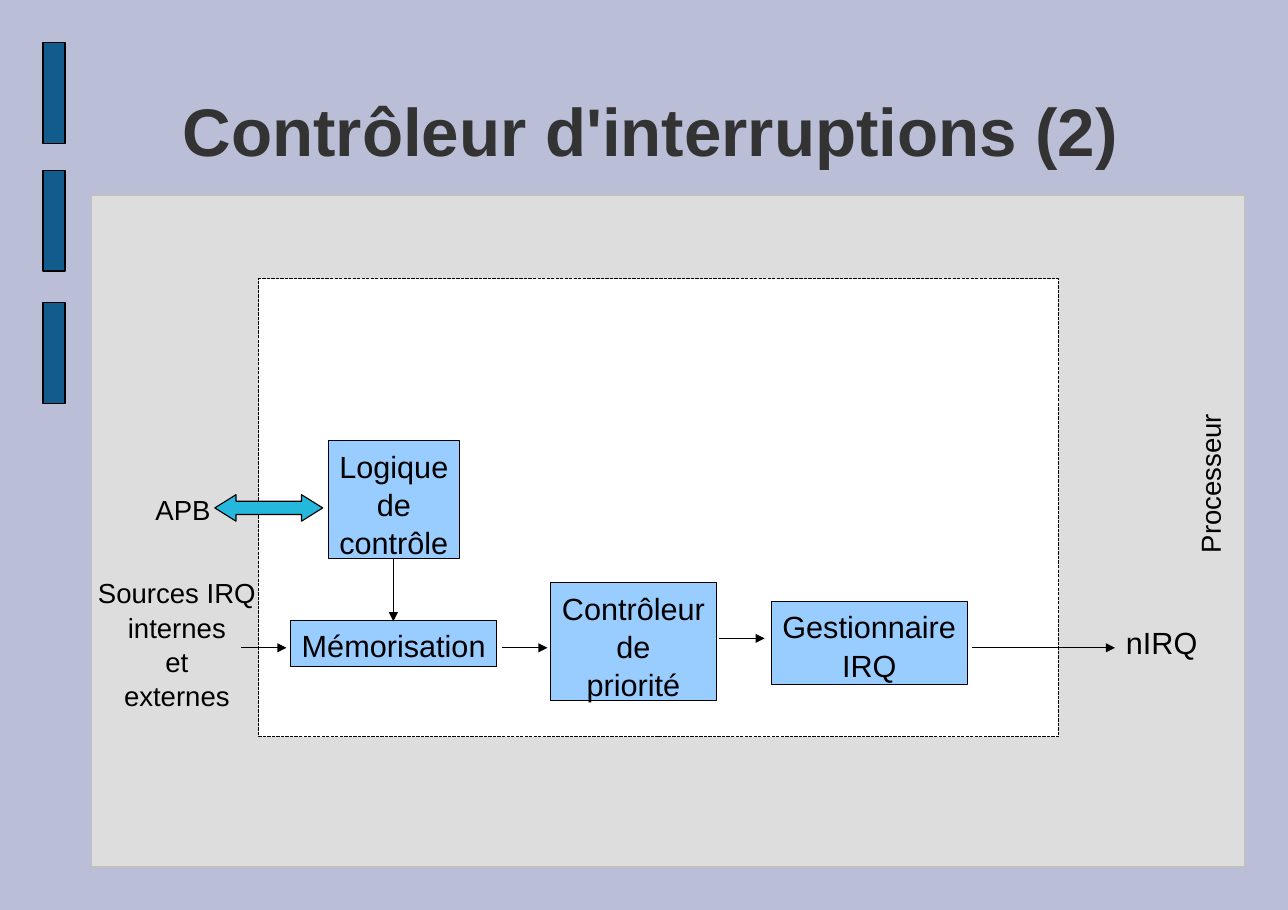
import dataclasses

import pptx
import pptx.dml.color
import pptx.enum.dml
import pptx.enum.shapes
import pptx.enum.text
import pptx.oxml.ns
import pptx.util
from lxml import etree

SHAPES = pptx.enum.shapes.MSO_SHAPE
ALIGN = pptx.enum.text.PP_ALIGN
ANCHOR = pptx.enum.text.MSO_ANCHOR


@dataclasses.dataclass(frozen=True)
class Theme:
    font: str = "Arial"
    background: str = "BABED6"
    panel: str = "DDDDDD"
    panel_edge: str = "C0C0C0"
    bar: str = "125C8D"
    frame: str = "FFFFFF"
    block: str = "99CCFF"
    bus: str = "23B8DC"
    ink: str = "000000"
    heading: str = "333333"
    title_size: int = 44
    block_size: int = 20
    label_size: int = 18
    line_width: float = 0.75
    line_spacing: float = 1.04


def color(code):
    return pptx.dml.color.RGBColor.from_string(code)


class Diagram:
    """Draws on one slide; every place is a percentage of the slide's size."""

    def __init__(self, deck, theme):
        self.deck = deck
        self.theme = theme
        self.page = deck.slides.add_slide(deck.slide_layouts[5])
        fill = self.page.background.fill
        fill.solid()
        fill.fore_color.rgb = color(theme.background)

    def across(self, share):
        return round(self.deck.slide_width * share / 100)

    def down(self, share):
        return round(self.deck.slide_height * share / 100)

    def place(self, left, top, width, height):
        return (self.across(left), self.down(top),
                self.across(width), self.down(height))

    def set_text(self, box, text, size, ink, align=ALIGN.CENTER, bold=False, spacing=None):
        frame = box.text_frame
        frame.text = text
        for para in frame.paragraphs:
            para.alignment = align
            para.line_spacing = spacing
            for span in para.runs:
                span.font.name = self.theme.font
                span.font.size = pptx.util.Pt(size)
                span.font.bold = bold
                span.font.color.rgb = color(ink)

    def title(self, text, area):
        box = self.page.shapes.title
        box.left, box.top, box.width, box.height = self.place(*area)
        frame = box.text_frame
        frame.margin_left = frame.margin_right = 0
        frame.margin_top = frame.margin_bottom = 0
        frame.vertical_anchor = ANCHOR.MIDDLE
        self.set_text(box, text, self.theme.title_size, self.theme.heading, bold=True)

    def shape(self, area, fill, kind=SHAPES.RECTANGLE, edge=None, width=None):
        box = self.page.shapes.add_shape(kind, *self.place(*area))
        box.shadow.inherit = False
        box.fill.solid()
        box.fill.fore_color.rgb = color(fill)
        box.line.color.rgb = color(edge or self.theme.ink)
        box.line.width = pptx.util.Pt(self.theme.line_width if width is None else width)
        return box

    def caption(self, box, text, size, align):
        frame = box.text_frame
        frame.word_wrap = False
        frame.auto_size = pptx.enum.text.MSO_AUTO_SIZE.NONE
        frame.vertical_anchor = ANCHOR.TOP
        self.set_text(box, text, size, self.theme.ink, align,
                      spacing=self.theme.line_spacing)

    def block(self, text, area, align=ALIGN.CENTER):
        box = self.shape(area, self.theme.block)
        self.caption(box, text, self.theme.block_size, align)

    def label(self, text, area, size, align=ALIGN.CENTER, rotation=0):
        box = self.page.shapes.add_textbox(*self.place(*area))
        box.rotation = rotation
        self.caption(box, text, size, align)

    def arrow(self, left, top, right, bottom):
        line = self.page.shapes.add_connector(
            pptx.enum.shapes.MSO_CONNECTOR.STRAIGHT,
            self.across(left), self.down(top), self.across(right), self.down(bottom))
        line.line.color.rgb = color(self.theme.ink)
        line.line.width = pptx.util.Pt(self.theme.line_width)
        tag = pptx.oxml.ns.qn
        properties = line.element.spPr
        head = etree.SubElement(properties.find(tag("a:ln")), tag("a:tailEnd"))
        head.set("type", "triangle")
        etree.SubElement(properties, tag("a:effectLst"))


def main():
    deck = pptx.Presentation()
    deck.slide_width = pptx.util.Inches(11.69)
    deck.slide_height = pptx.util.Inches(8.26)
    theme = Theme()
    diagram = Diagram(deck, theme)

    # Background panel, side bars and title
    diagram.shape((7.1, 21.43, 89.56, 73.85), theme.panel,
                  edge=theme.panel_edge, width=0)
    for top in (4.72, 18.77, 33.29):
        diagram.shape((3.34, top, 1.71, 11.02), theme.bar, width=0)
    diagram.title("Contrôleur d'interruptions (2)", (6.76, 7.14, 87.6, 14.29))

    # Dashed outline of the controller
    frame = diagram.shape((20.1, 30.63, 62.1, 50.36), theme.frame)
    frame.line.dash_style = pptx.enum.dml.MSO_LINE.SQUARE_DOT

    # Functional blocks
    diagram.block("Mémorisation", (22.58, 68.16, 16, 5.08), ALIGN.LEFT)
    diagram.block("Gestionnaire\nIRQ", (59.88, 66.1, 15.23, 9.08))
    diagram.block("Contrôleur\nde\npriorité", (42.77, 64.04, 12.83, 12.95))
    diagram.block("Logique\nde\ncontrôle", (25.49, 48.43, 10.18, 12.95))

    # Signals along the interrupt path, then the control signal
    for left, right, level in ((18.73, 22.24, 71.19), (39.01, 42.51, 71.19),
                               (55.86, 59.37, 70.15), (75.45, 86.57, 71.19)):
        diagram.arrow(left, level, right, level)
    diagram.arrow(30.54, 61.3, 30.54, 68.28)

    # Bus
    bus = diagram.shape((16.68, 54.36, 8.38, 2.91), theme.bus, SHAPES.LEFT_RIGHT_ARROW)
    bus.adjustments[0] = 0.5
    bus.adjustments[1] = 0.8

    # Labels outside the controller
    diagram.label("Sources IRQ\ninternes\net\nexternes",
                  (6.76, 62.59, 13.94, 15.38), theme.label_size)
    diagram.label("APB", (11.21, 53.39, 5.99, 4.72), theme.label_size)
    diagram.label("nIRQ", (86.57, 67.8, 7.27, 5.08), theme.block_size, ALIGN.LEFT)
    diagram.label("Processeur", (87.6, 50.85, 12.4, 4.72), theme.label_size,
                  ALIGN.LEFT, rotation=270)

    deck.save("out.pptx")


if __name__ == "__main__":
    main()
